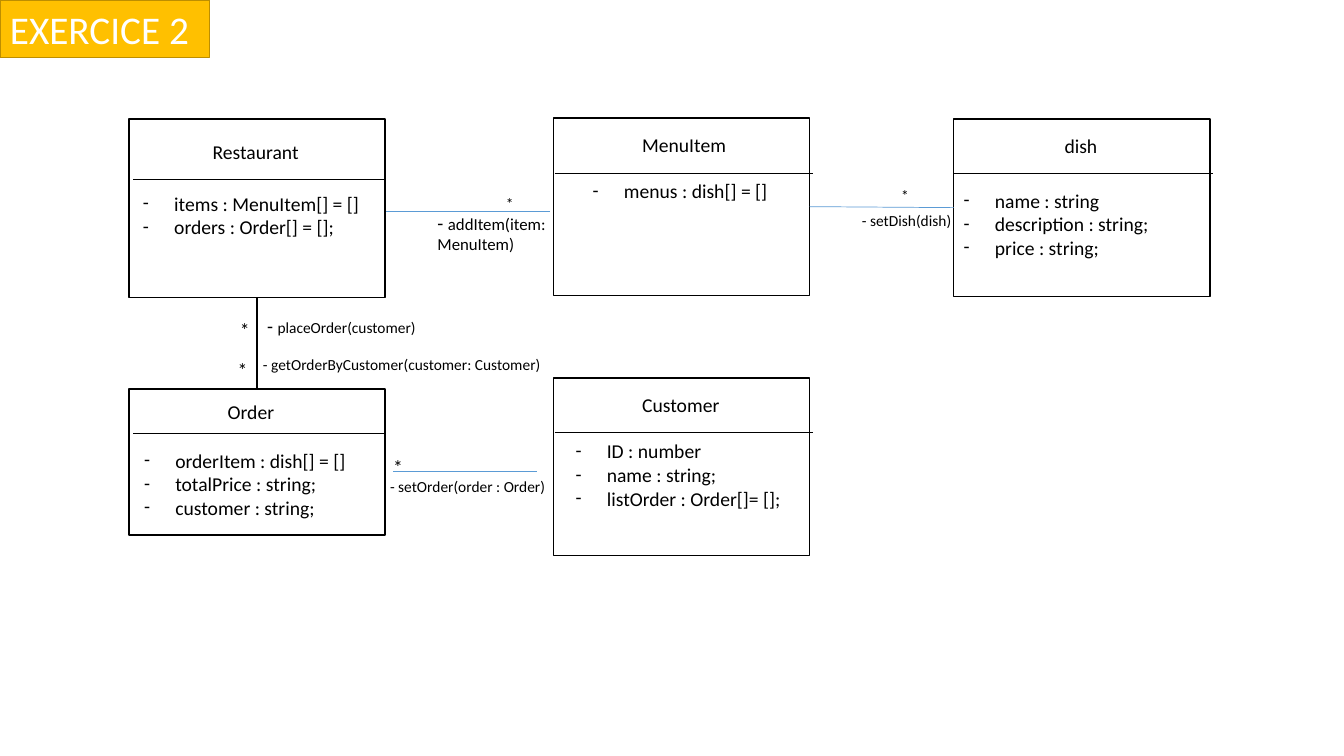
"""Build the class diagram slide for exercise 2."""
from lxml import etree
from pptx import Presentation
from pptx import util as u
from pptx.dml.color import RGBColor
from pptx.enum import shapes, text
from pptx.oxml import ns

COLOURS = {"ink": "000000", "paper": "FFFFFF", "gold": "FFC000",
           "gold_edge": "BD8E00", "link": "5B9BD5"}
FONT = "Calibri"
BOX_WIDTH = 2.54
INDENT = 0.31

CLASSES = [
    {"name": "Restaurant", "box": (1.28, 1.18, 1.77), "divider": (1.32, 3.82, 1.78),
     "title": (2.01, 1.34, 1.07, 0.34), "body": (1.32, 1.85, 2.36, 0.57),
     "members": ["items : MenuItem[] = []", "orders : Order[] = [];"]},
    {"name": "Order", "box": (1.28, 3.86, 1.45), "divider": (1.32, 3.82, 4.3),
     "title": (2.16, 3.92, 0.67, 0.34), "body": (1.33, 4.4, 2.22, 0.81),
     "members": ["orderItem : dish[] = []", "totalPrice : string;", "customer : string;"]},
    {"name": "MenuItem", "box": (5.49, 1.17, 1.76), "divider": (5.5, 8.06, 1.72),
     "title": (6.27, 1.27, 1.04, 0.34), "body": (5.78, 1.73, 1.95, 0.34),
     "members": ["menus : dish[] = []"]},
    {"name": "Customer", "box": (5.49, 3.75, 1.76), "divider": (5.5, 8.06, 4.29),
     "title": (6.27, 3.85, 0.98, 0.34), "body": (5.61, 4.31, 2.25, 0.81),
     "members": ["ID : number", "name : string;", "listOrder : Order[]= [];"]},
    {"name": "dish", "box": (9.46, 1.18, 1.76), "divider": (9.46, 12.03, 1.72),
     "title": (10.46, 1.28, 0.53, 0.34), "body": (9.46, 1.82, 2.06, 0.81),
     "members": ["name : string", "description : string;", "price : string;"]},
]

LABELS = [
    ((4.24, 2.04, 1.48, 0.54), [("- ", 14), ("addItem(item: MenuItem)", 12)], True),
    ((2.55, 3.07, 1.69, 0.34), [("- ", 14), ("placeOrder(customer)", 11)], False),
    ((2.51, 3.47, 2.98, 0.29), [("- getOrderByCustomer(customer: Customer)", 11)], False),
    ((8.45, 2.04, 1.09, 0.29), [("- setDish(dish)", 11)], False),
    ((3.77, 4.68, 1.76, 0.29), [("- setOrder(order : Order)", 11)], False),
    ((2.28, 3.1, 0.3, 0.34), [("*", 14)], False),
    ((2.26, 3.5, 0.3, 0.34), [("*", 14)], False),
    ((3.8, 4.46, 0.32, 0.34), [("*", 14)], True),
    ((8.84, 1.8, 0.28, 0.29), [("*", 11)], False),
    ((4.92, 1.88, 0.28, 0.29), [("*", 11)], False),
]


def inches(values):
    """Turn numbers into lengths."""
    return [u.Inches(value) for value in values]


def colour(name):
    """Look up a named colour."""
    return RGBColor.from_string(COLOURS[name])


def apply_format(target, values):
    """Set each named attribute on the target."""
    for name, value in values.items():
        setattr(target, name, value)


def add_span(para, words, size, ink="ink"):
    """Add one run of formatted text."""
    span = para.add_run()
    span.text = words
    apply_format(span.font, {"name": FONT, "size": u.Pt(size)})
    span.font.color.rgb = colour(ink)


def add_bullet(para):
    """Give the paragraph a hanging dash."""
    properties = para._p.get_or_add_pPr()
    properties.set("marL", str(u.Inches(INDENT)))
    properties.set("indent", str(-u.Inches(INDENT)))
    etree.SubElement(properties, ns.qn("a:buFont")).set("typeface", FONT)
    etree.SubElement(properties, ns.qn("a:buChar")).set("char", "-")


def add_text(page, place, paragraphs, wrap=False, bullets=False):
    """Add a text box; each paragraph is a list of (words, size)."""
    frame = page.shapes.add_textbox(*inches(place)).text_frame
    apply_format(frame, {"word_wrap": wrap,
                         "auto_size": text.MSO_AUTO_SIZE.SHAPE_TO_FIT_TEXT})
    for index, spans in enumerate(paragraphs):
        para = frame.add_paragraph() if index else frame.paragraphs[0]
        if bullets:
            add_bullet(para)
        for words, size in spans:
            add_span(para, words, size)


def add_box(page, place, fill, edge):
    """Add a filled and outlined rectangle."""
    box = page.shapes.add_shape(shapes.MSO_SHAPE.RECTANGLE, *inches(place))
    box.shadow.inherit = False
    box.fill.solid()
    box.fill.fore_color.rgb = colour(fill)
    box.line.color.rgb = colour(edge)
    box.line.width = u.Pt(1)
    return box


def add_line(page, start, end, ink="ink", width=1):
    """Add a straight line without a shadow."""
    line = page.shapes.add_connector(shapes.MSO_CONNECTOR.STRAIGHT, *inches(start + end))
    line.line.color.rgb = colour(ink)
    line.line.width = u.Pt(width)
    etree.SubElement(line._element.spPr, ns.qn("a:effectLst"))
    return line


def add_class(page, item):
    """Draw one class with its name, divider and members."""
    left, top, height = item["box"]
    box = add_box(page, (left, top, BOX_WIDTH, height), "paper", "ink")
    start, end, level = item["divider"]
    add_line(page, (start, level), (end, level))
    add_text(page, item["title"], [[(item["name"], 14)]])
    add_text(page, item["body"], [[(member, 14)] for member in item["members"]], bullets=True)
    return box


def add_heading(page):
    """Draw the gold heading in the corner."""
    frame = add_box(page, (0, 0, 2.08, 0.57), "gold", "gold_edge").text_frame
    apply_format(frame, {"word_wrap": False, "vertical_anchor": text.MSO_ANCHOR.MIDDLE,
                         "auto_size": text.MSO_AUTO_SIZE.SHAPE_TO_FIT_TEXT})
    para = frame.paragraphs[0]
    para.alignment = text.PP_ALIGN.LEFT
    add_span(para, "EXERCICE 2", 28, "paper")


def add_links(page, boxes):
    """Draw the associations between the classes."""
    orders = add_line(page, (2.55, 2.95), (2.55, 3.86))
    orders.begin_connect(boxes["Restaurant"], 2)
    orders.end_connect(boxes["Order"], 0)
    dishes = add_line(page, (8.03, 2.05), (9.46, 2.05), "link", 0.5)
    dishes.begin_connect(boxes["MenuItem"], 3)
    dishes.end_connect(boxes["dish"], 1)
    add_line(page, (3.83, 2.1), (5.46, 2.1), "link", 0.5)
    add_line(page, (3.9, 4.68), (5.33, 4.68), "link", 0.5)


def main():
    """Build and save the deck."""
    deck = Presentation()
    apply_format(deck, {"slide_width": u.Inches(13.33), "slide_height": u.Inches(7.5)})
    page = deck.slides.add_slide(deck.slide_layouts[6])
    add_heading(page)
    boxes = {item["name"]: add_class(page, item) for item in CLASSES}
    add_links(page, boxes)
    for place, spans, wrap in LABELS:
        add_text(page, place, [spans], wrap)
    deck.save("out.pptx")


if __name__ == "__main__":
    main()
